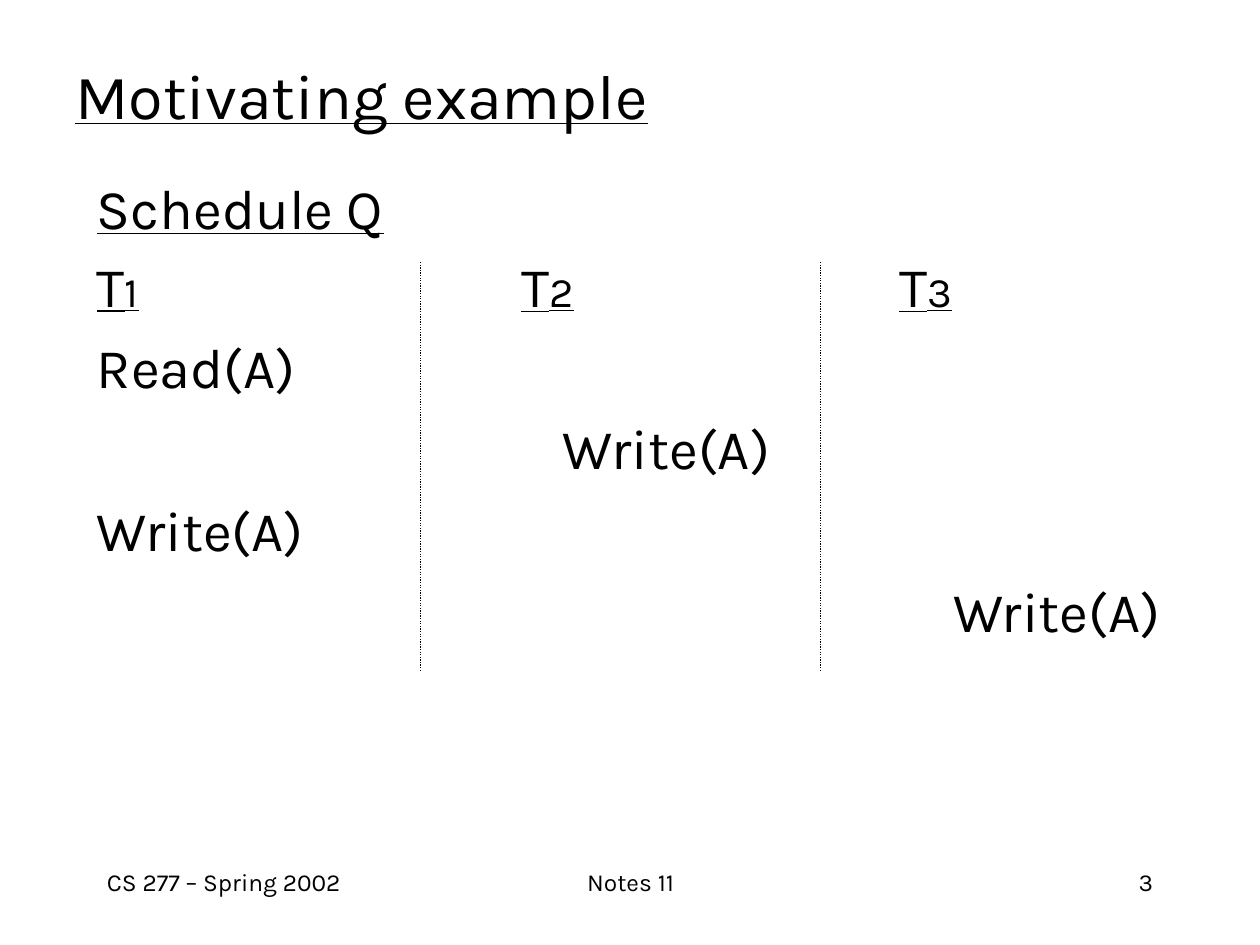
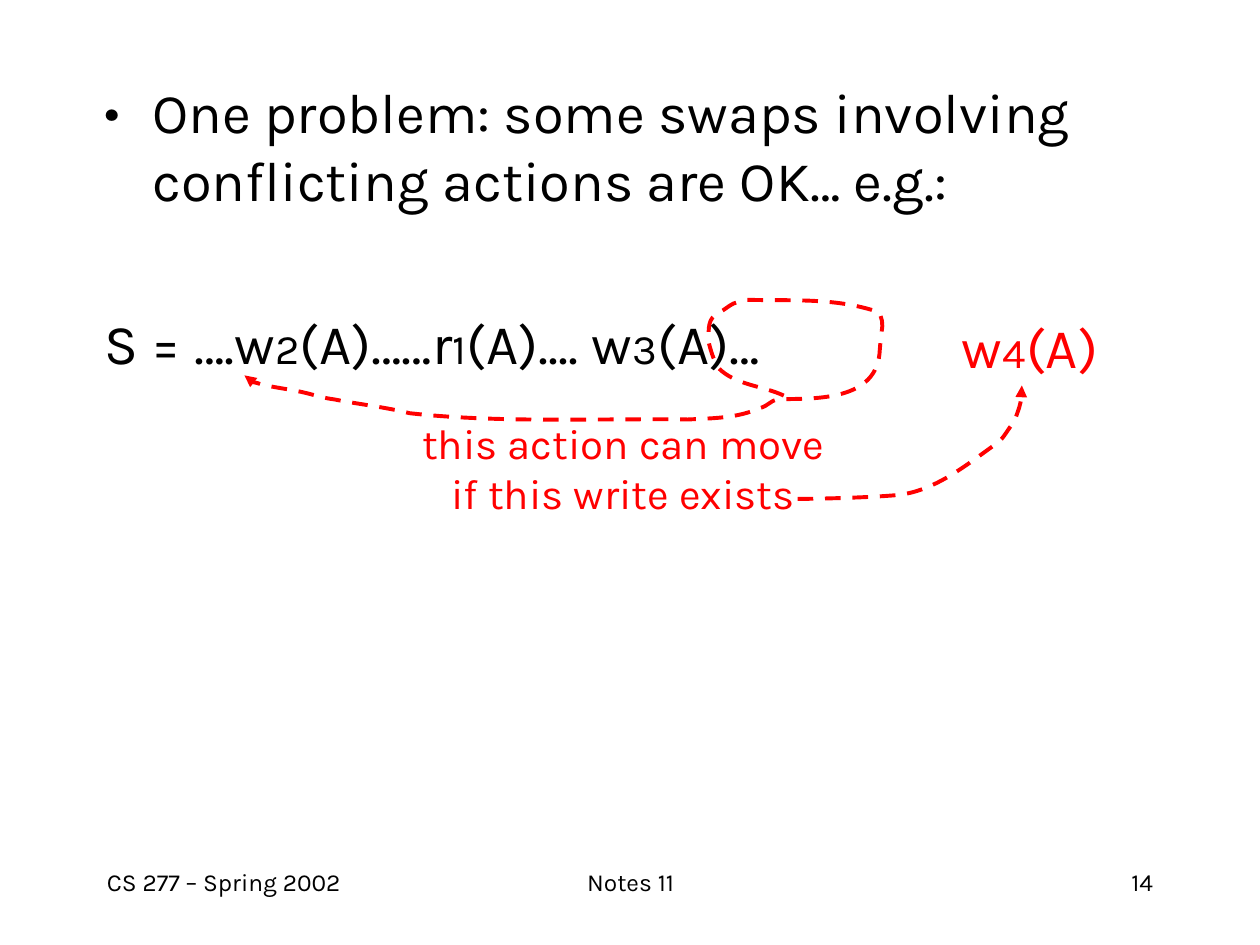
from lxml.etree import SubElement as Sub
from pptx import Presentation as Pres
from pptx.dml.color import RGBColor
from pptx.enum.dml import MSO_LINE as Dash
from pptx.enum.shapes import MSO_CONNECTOR as Link
from pptx.enum.text import MSO_ANCHOR as Anchor, PP_ALIGN as Align
from pptx.oxml.ns import qn
from pptx.util import Inches, Pt

BLACK = RGBColor(0, 0, 0)
RED = RGBColor(255, 0, 0)
FONT = "Karla"
BIG, SMALL = 32, 24
HANG = 0.38


def write(par, text, size=BIG, color=BLACK, under=False, align=Align.LEFT,
          before=0, left=0, first=0, bullet=None):
    """Fill a paragraph; every second part between bars is a small index."""
    par.alignment = align
    par.space_before = Pt(before)
    props = par._p.get_or_add_pPr()
    props.set("marL", str(Inches(left)))
    props.set("indent", str(Inches(first)))
    if bullet:
        Sub(props, qn("a:buFont"), typeface=FONT)
        Sub(props, qn("a:buChar"), char=bullet)
    else:
        Sub(props, qn("a:buNone"))
    for i, part in enumerate(text.split("|")):
        run = par.add_run()
        run.text = part
        font = run.font
        font.name = FONT
        font.size = Pt(SMALL if i % 2 else size)
        font.underline = under
        font.color.rgb = color


def bend(shape):
    """Turn each three straight segments of an outline into one curve."""
    lines = list(shape.element.iter(qn("a:lnTo")))
    track = lines[0].getparent()
    for i in range(0, len(lines), 3):
        arc = Sub(track, qn("a:cubicBezTo"))
        for line in lines[i:i + 3]:
            arc.append(line[0])
            track.remove(line)


class Deck:
    """Holds the shared style and the current slide."""

    def __init__(self):
        self.pres = Pres()
        self.pres.slide_width = Inches(10)
        self.pres.slide_height = Inches(7.5)
        self.slide = None

    def page(self, number):
        """Start a slide with its footer."""
        self.slide = self.pres.slides.add_slide(self.pres.slide_layouts[6])
        for text, x, w, align in (("CS 277 – Spring 2002", 0.75, 2.08, Align.LEFT),
                                  ("Notes 11", 3.42, 3.17, Align.CENTER),
                                  (str(number), 7.17, 2.08, Align.RIGHT)):
            self.text(x, 6.83, w, 0.5, [(text, {})], size=14, align=align)

    def text(self, x, y, w, h, rows, mid=False, wrap=True, **look):
        """Add a text box with one paragraph per row."""
        box = self.slide.shapes.add_textbox(*map(Inches, (x, y, w, h)))
        frame = box.text_frame
        frame.word_wrap = wrap
        frame.vertical_anchor = Anchor.MIDDLE if mid else Anchor.TOP
        for i, (words, own) in enumerate(rows):
            par = frame.add_paragraph() if i else frame.paragraphs[0]
            write(par, words, **{**look, **own})

    def title(self, text):
        """Add the underlined title."""
        self.text(0.5, 0.25, 8.5, 1, [(text, {})], mid=True, size=36, under=True)

    def stroke(self, shape, color, width, dash):
        """Style an outline and drop its shadow."""
        shape.line.color.rgb = color
        shape.line.width = Pt(width)
        shape.line.dash_style = dash
        Sub(shape.element.spPr, qn("a:effectLst"))

    def rule(self, x, top, end):
        """Add a dotted upright line."""
        line = self.slide.shapes.add_connector(
            Link.STRAIGHT, Inches(x), Inches(top), Inches(x), Inches(end))
        self.stroke(line, BLACK, 0.75, Dash.ROUND_DOT)

    def arrow(self, *points):
        """Add a dashed curved arrow from a start and triples of points."""
        spots = [(Inches(x), Inches(y)) for x, y in points]
        build = self.slide.shapes.build_freeform(*spots[0])
        build.add_line_segments(spots[1:], close=False)
        shape = build.convert_to_shape()
        bend(shape)
        shape.fill.background()
        self.stroke(shape, RED, 2.25, Dash.DASH)
        Sub(shape.element.spPr.get_or_add_ln(), qn("a:tailEnd"), type="triangle")


def example(deck):
    """Build the schedule with three columns."""
    deck.page(3)
    deck.title("Motivating example")
    deck.text(0.67, 1.33, 8.83, 4.5, [
        ("Schedule Q", {"under": True}),
        ("T|1|", {"under": True, "before": 6}),
        ("Read(A)", {}),
        ("Write(A)", {"left": 3.7}),
        ("Write(A)", {}),
        ("Write(A)", {"left": 6.8}),
    ], before=8)
    for head, x in (("T|2|", 4.04), ("T|3|", 7.04)):
        deck.text(x, 1.95, 1, 0.7, [(head, {})], under=True, before=8)
    for x in (3.34, 6.51):
        deck.rule(x, 2.08, 5.33)


def problem(deck):
    """Build the swap problem with its two arrows."""
    deck.page(14)
    deck.text(0.73, 0.57, 8.5, 4.5, [
        ("One problem: some swaps involving conflicting actions are OK… e.g.:",
         {"bullet": "•", "before": 8}),
        ("S = ….w|2|(A)……r|1|(A).... w|3|(A)…", {"before": 55}),
    ], left=HANG, first=-HANG)
    deck.arrow(
        (6.22, 3.14),
        (6.05, 3.06), (5.84, 3.06), (5.7, 2.92),
        (5.66, 2.85), (5.64, 2.78), (5.62, 2.7),
        (5.63, 2.6), (5.61, 2.53), (5.71, 2.48),
        (5.75, 2.46), (5.78, 2.43), (5.82, 2.41),
        (5.85, 2.4), (5.92, 2.38), (5.92, 2.38),
        (6.3, 2.39), (6.63, 2.36), (6.98, 2.48),
        (7.02, 2.61), (7, 2.53), (6.98, 2.81),
        (6.94, 3.2), (6.42, 3.16), (6.17, 3.17),
        (6.1, 3.19), (6.1, 3.22), (6.03, 3.24),
        (5.85, 3.32), (5.66, 3.32), (5.46, 3.33),
        (4.79, 3.32), (3.96, 3.36), (3.25, 3.28),
        (3.05, 3.23), (2.85, 3.21), (2.65, 3.17),
        (2.57, 3.16), (2.51, 3.14), (2.43, 3.12),
        (2.31, 3.09), (2.19, 3.08), (2.07, 3.05),
        (2.01, 3.03), (1.97, 3.04), (1.94, 2.98))
    note = {"mid": True, "wrap": False, "color": RED, "align": Align.CENTER}
    deck.text(7.53, 2.43, 1.29, 0.64, [("w|4|(A)", {})], **note)
    deck.text(3.24, 3.26, 3.41, 0.9, [
        ("this action can move", {}),
        ("if this write exists", {}),
    ], size=SMALL, **note)
    deck.arrow(
        (6.33, 3.96),
        (6.49, 3.96), (6.9, 3.95), (7.12, 3.93),
        (7.42, 3.9), (7.67, 3.69), (7.91, 3.52),
        (7.97, 3.48), (8, 3.4), (8.05, 3.35),
        (8.09, 3.23), (8.11, 3.2), (8.11, 3.06))


def main():
    """Build and save the slides."""
    deck = Deck()
    example(deck)
    problem(deck)
    deck.pres.save("out.pptx")


if __name__ == "__main__":
    main()
